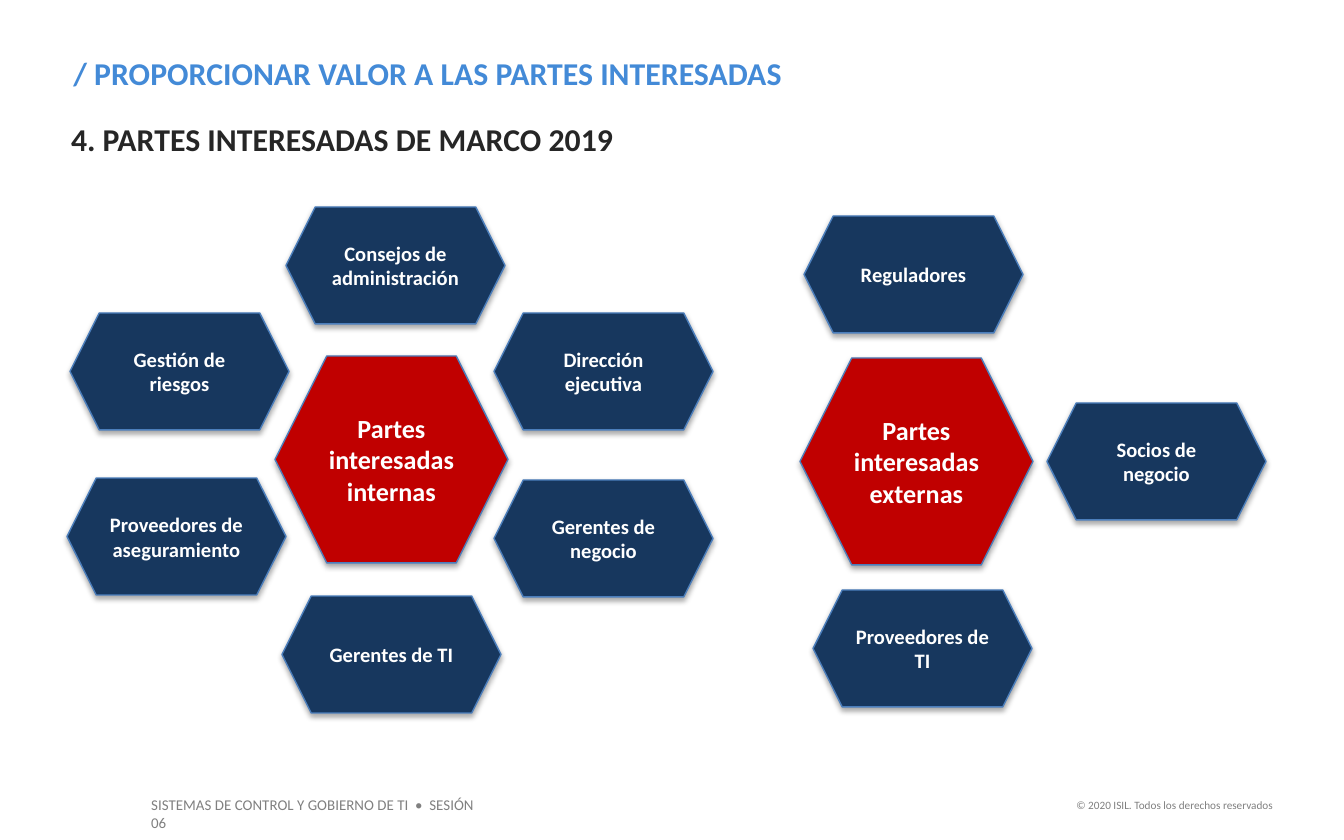
from lxml.etree import SubElement
from pptx import Presentation
from pptx.dml.color import RGBColor
from pptx.enum.shapes import MSO_SHAPE
from pptx.enum.text import MSO_ANCHOR, MSO_AUTO_SIZE, PP_ALIGN
from pptx.oxml.ns import qn
from pptx.util import Pt

SLIDE_SIZE = (1344, 840)
SCALE = 914400 / 134.4
FONT = "Calibri"
COLORS = {
    "title": "438AD7",
    "heading": "262626",
    "footer": "808080",
    "core": "C00000",
    "party": "17375E",
    "outline": "4B7EBC",
    "label": "FFFFFF",
    "shadow": "000000",
}
TITLE = "/ PROPORCIONAR VALOR A LAS PARTES INTERESADAS"
HEADING = "4. PARTES INTERESADAS DE MARCO 2019"
COURSE = "SISTEMAS DE CONTROL Y GOBIERNO DE TI  •  SESIÓN 06"
COPYRIGHT = "© 2020 ISIL. Todos los derechos reservados"

CORE_SIZE = (233, 207)
PARTY_SIZE = (219, 117)
CLUSTERS = [
    {
        "core": ("Partes interesadas internas", 275, 356),
        "parties": [
            ("Consejos de administración", 286, 207),
            ("Gestión de riesgos", 70, 313),
            ("Dirección ejecutiva", 494, 313),
            ("Proveedores de aseguramiento", 67, 478),
            ("Gerentes de negocio", 494, 480),
            ("Gerentes de TI", 282, 596),
        ],
    },
    {
        "core": ("Partes interesadas externas", 800, 358),
        "parties": [
            ("Reguladores", 804, 216),
            ("Socios de negocio", 1047, 403),
            ("Proveedores de TI", 813, 590),
        ],
    },
]


def px(value):
    return round(value * SCALE)


def color(name):
    return RGBColor.from_string(COLORS[name])


def write(shape, text, size, color_name, bold=False, align=PP_ALIGN.LEFT,
          anchor=MSO_ANCHOR.TOP):
    frame = shape.text_frame
    frame.word_wrap = True
    frame.auto_size = MSO_AUTO_SIZE.NONE
    frame.vertical_anchor = anchor
    paragraph = frame.paragraphs[0]
    paragraph.alignment = align
    run = paragraph.add_run()
    run.text = text
    run.font.name = FONT
    run.font.size = Pt(size)
    run.font.bold = bold
    run.font.color.rgb = color(color_name)


def add_text(slide, box, *args, **options):
    shape = slide.shapes.add_textbox(*map(px, box))
    write(shape, *args, **options)
    return shape


def add_shadow(shape):
    shape.shadow.inherit = False
    effects = shape._element.spPr.find(qn("a:effectLst"))
    shadow = SubElement(effects, qn("a:outerShdw"), blurRad=str(Pt(3.1)),
                        dist=str(Pt(1.8)), dir="5400000", rotWithShape="0")
    tint = SubElement(shadow, qn("a:srgbClr"), val=COLORS["shadow"])
    SubElement(tint, qn("a:alpha"), val="35000")


def add_hexagon(group, item, box_size, fill, text_size):
    text, left, top = item
    shape = group.shapes.add_shape(
        MSO_SHAPE.HEXAGON, *map(px, (left, top, *box_size)))
    shape.fill.solid()
    shape.fill.fore_color.rgb = color(fill)
    shape.line.color.rgb = color("outline")
    shape.line.width = Pt(0.75)
    add_shadow(shape)
    write(shape, text, text_size, "label", bold=True,
          align=PP_ALIGN.CENTER, anchor=MSO_ANCHOR.MIDDLE)


def main():
    presentation = Presentation()
    presentation.slide_width, presentation.slide_height = map(px, SLIDE_SIZE)
    slide = presentation.slides.add_slide(presentation.slide_layouts[5])

    title = slide.shapes.title
    title.left, title.top, title.width, title.height = map(px, (60, 47, 1059, 52))
    write(title, TITLE, 17, "title", bold=True)

    heading = add_text(slide, (71, 120, 951, 39), HEADING, 17, "heading", bold=True)
    frame = heading.text_frame
    frame.margin_left = frame.margin_right = 0
    frame.margin_top = frame.margin_bottom = 0

    add_text(slide, (138, 789, 367, 32), COURSE, 8, "footer")
    add_text(slide, (1059, 792, 227, 27), COPYRIGHT, 6, "footer",
             align=PP_ALIGN.RIGHT)

    for cluster in CLUSTERS:
        group = slide.shapes.add_group_shape()
        add_hexagon(group, cluster["core"], CORE_SIZE, "core", 14)
        for party in cluster["parties"]:
            add_hexagon(group, party, PARTY_SIZE, "party", 11)

    presentation.save("out.pptx")


if __name__ == "__main__":
    main()
